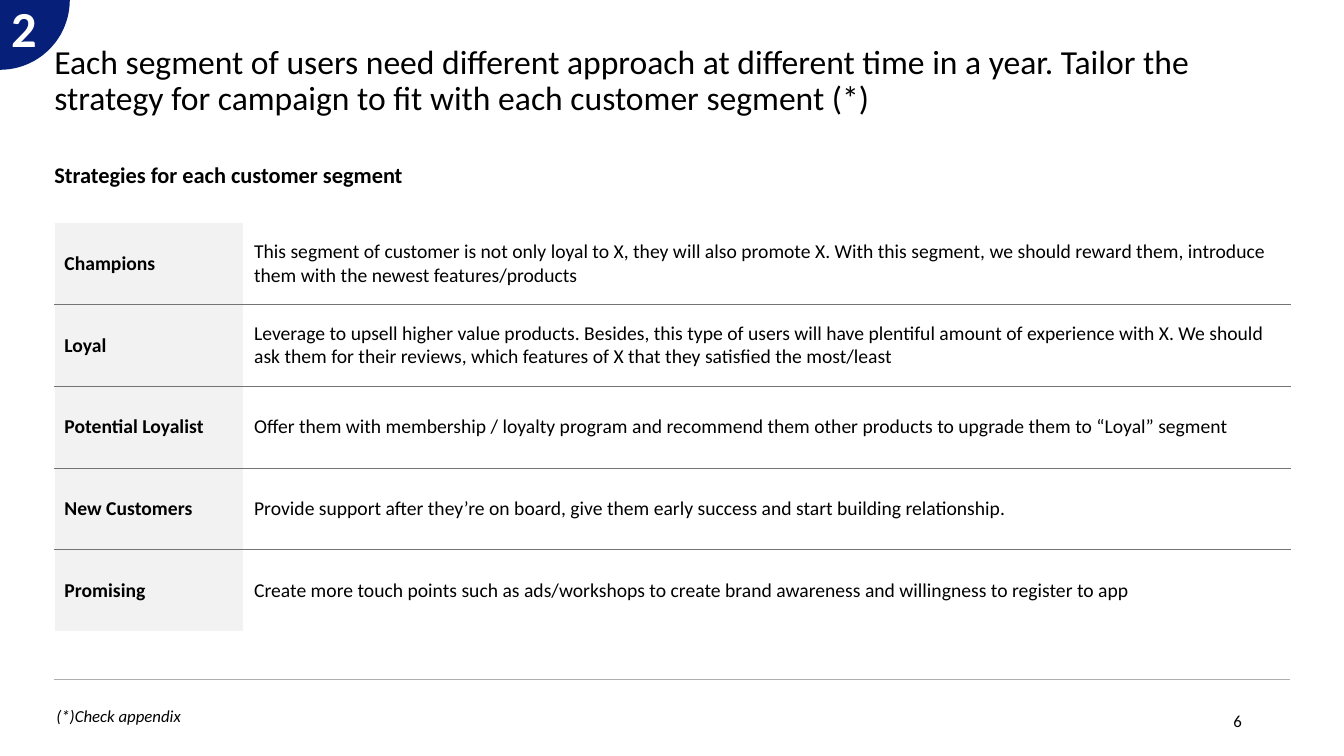
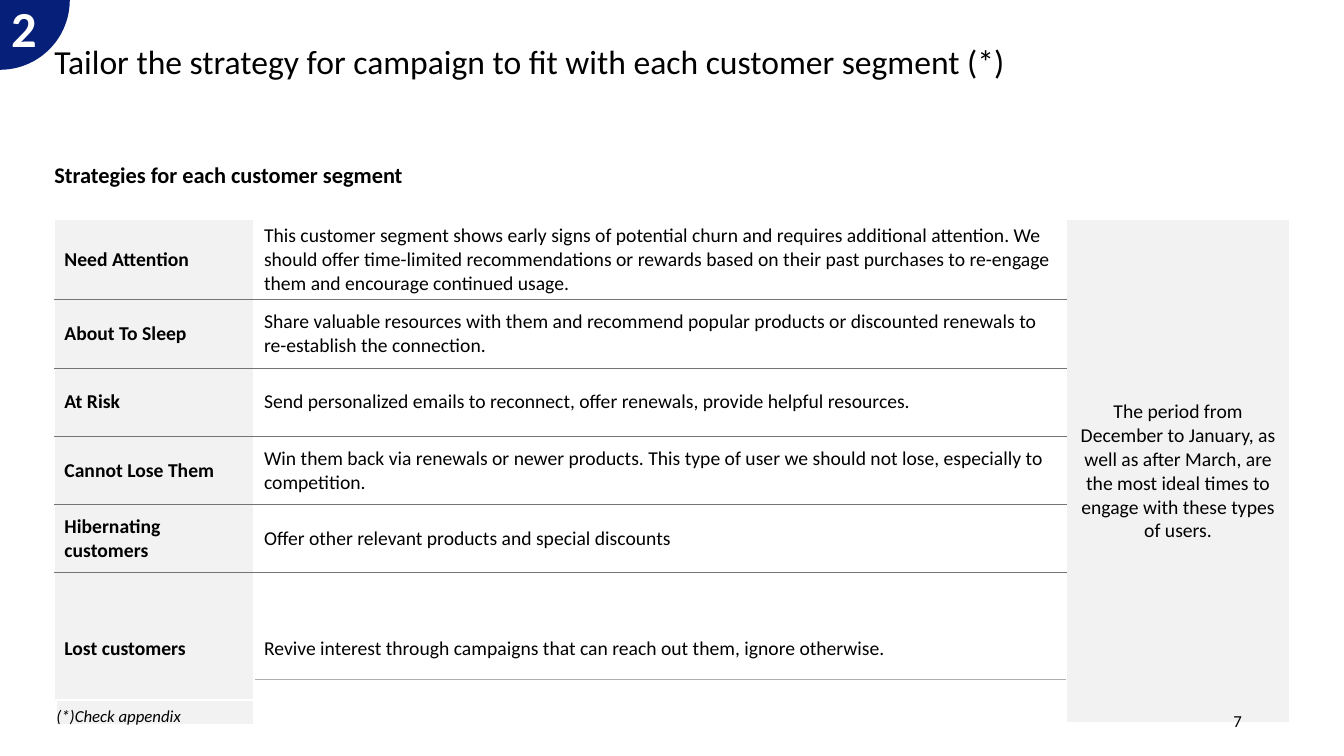
import math
import pptx
import pptx.util
import pptx.dml.color
import pptx.enum.shapes
import pptx.enum.text
import pptx.oxml
import pptx.oxml.ns
from pptx.util import Cm

RGBColor = pptx.dml.color.RGBColor
Anchor = pptx.enum.text.MSO_ANCHOR
Align = pptx.enum.text.PP_ALIGN

BLACK = RGBColor(0x00, 0x00, 0x00)
WHITE = RGBColor(0xFF, 0xFF, 0xFF)
NAVY = RGBColor(0x06, 0x1F, 0x79)
LIGHT_GREY = RGBColor(0xF2, 0xF2, 0xF2)
RULE_GREY = RGBColor(0xAE, 0xAE, 0xAE)
ROW_LINE_GREY = RGBColor(0x74, 0x74, 0x74)

FONT = "Calibri"
LEFT, WIDTH = 1.37, 31.14
BADGE_RADIUS = 1.76
ARC_STEPS = 24
FLUSH_INSETS = (0, 0.13, 0.25, 0.13)
EDGE = (WHITE, 1)
ROW_LINE = (ROW_LINE_GREY, 0.5)
SPAN_EDGE = (WHITE, 3)

SECTION = "2"
SUBTITLE = "Strategies for each customer segment"
FOOTNOTE = "(*)Check appendix"

SLIDES = [
    {
        "page": "6",
        "title": "Each segment of users need different approach at different time in a year. "
                 "Tailor the strategy for campaign to fit with each customer segment (*)",
        "top": 5.61,
        "row_height": 2.06,
        "columns": [4.78, 26.36],
        "rows": [
            ("Champions", "This segment of customer is not only loyal to X, they will also promote X. "
                          "With this segment, we should reward them, introduce them with the newest "
                          "features/products"),
            ("Loyal", "Leverage to upsell higher value products. Besides, this type of users will have "
                      "plentiful amount of experience with X. We should ask them for their reviews, "
                      "which features of X that they satisfied the most/least"),
            ("Potential Loyalist", "Offer them with membership / loyalty program and recommend them other "
                                   "products to upgrade them to “Loyal” segment"),
            ("New Customers", "Provide support after they’re on board, give them early success and start "
                              "building relationship."),
            ("Promising", "Create more touch points such as ads/workshops to create brand awareness and "
                          "willingness to register to app"),
        ],
        "timing": None,
    },
    {
        "page": "7",
        "title": "Tailor the strategy for campaign to fit with each customer segment (*)",
        "top": 5.52,
        "row_height": 1.72,
        "columns": [5.03, 20.47, 5.64],
        "rows": [
            ("Need Attention", "This customer segment shows early signs of potential churn and requires "
                               "additional attention. We should offer time-limited recommendations or "
                               "rewards based on their past purchases to re-engage them and encourage "
                               "continued usage."),
            ("About To Sleep", "Share valuable resources with them and recommend popular products or "
                               "discounted renewals to re-establish the connection."),
            ("At Risk", "Send personalized emails to reconnect, offer renewals, provide helpful resources."),
            ("Cannot Lose Them", "Win them back via renewals or newer products. This type of user we should "
                                 "not lose, especially to competition."),
            ("Hibernating customers", "Offer other relevant products and special discounts"),
            ("Lost customers", "Revive interest through campaigns that can reach out them, ignore otherwise."),
        ],
        "timing": "The period from December to January, as well as after March, are the most ideal times "
                  "to engage with these types of users.",
    },
]


def write(frame, text, size, bold=False, italic=False, color=BLACK, align=Align.LEFT):
    paragraph = frame.paragraphs[0]
    paragraph.alignment = align
    run = paragraph.add_run()
    run.text = text
    font = run.font
    font.name, font.size, font.bold, font.italic = FONT, pptx.util.Pt(size), bold, italic
    font.color.rgb = color
    return paragraph


def set_frame(shape, anchor, insets=None):
    frame = shape.text_frame
    frame.word_wrap = True
    frame.vertical_anchor = anchor
    if insets:
        (frame.margin_left, frame.margin_top,
         frame.margin_right, frame.margin_bottom) = [Cm(inset) for inset in insets]
    return frame


def add_text(slide, box, text, size, anchor=Anchor.MIDDLE, insets=None, **style):
    shape = slide.shapes.add_textbox(*[Cm(length) for length in box])
    return write(set_frame(shape, anchor, insets), text, size, **style)


def add_rule(slide):
    rule = slide.shapes.add_connector(pptx.enum.shapes.MSO_CONNECTOR.STRAIGHT,
                                      Cm(LEFT), Cm(17.12), Cm(LEFT + WIDTH), Cm(17.12))
    rule.line.color.rgb = RULE_GREY
    rule.line.width = pptx.util.Pt(0.75)
    properties = rule._element.spPr
    properties.append(properties.makeelement(pptx.oxml.ns.qn("a:effectLst"), {}))


def add_footnote(slide):
    box = slide.shapes.add_shape(pptx.enum.shapes.MSO_SHAPE.RECTANGLE,
                                 Cm(1.42), Cm(17.63), Cm(14.38), Cm(0.81))
    box.shadow.inherit = False
    box.fill.background()
    box.line.color.rgb = WHITE
    box.line.width = pptx.util.Pt(1.5)
    write(set_frame(box, Anchor.MIDDLE, FLUSH_INSETS), FOOTNOTE, 12, italic=True)


def add_badge(slide):
    radius = Cm(BADGE_RADIUS)
    angles = [math.pi / 2 * step / ARC_STEPS for step in range(ARC_STEPS + 1)]
    arc = [(round(radius * math.cos(angle)), round(radius * math.sin(angle))) for angle in angles]
    builder = slide.shapes.build_freeform(0, 0)
    builder.add_line_segments(arc, close=True)
    badge = builder.convert_to_shape()
    badge.shadow.inherit = False
    badge.fill.solid()
    badge.fill.fore_color.rgb = NAVY
    badge.line.fill.background()
    add_text(slide, (0.03, 0, 1.4, 1.4), SECTION, 36, bold=True, color=WHITE)


def set_borders(cell, top, bottom):
    properties = cell._tc.get_or_add_tcPr()
    sides = (("L", EDGE), ("R", EDGE), ("T", top), ("B", bottom))
    for position, (side, (color, width)) in enumerate(sides):
        border = pptx.oxml.parse_xml(
            f'<a:ln{side} {pptx.oxml.ns.nsdecls("a")} w="{pptx.util.Pt(width)}">'
            f'<a:solidFill><a:srgbClr val="{color}"/></a:solidFill></a:ln{side}>')
        properties.insert(position, border)


def fill_cell(cell, text, shaded, top, bottom, **style):
    cell.vertical_anchor = Anchor.MIDDLE
    if shaded:
        cell.fill.solid()
        cell.fill.fore_color.rgb = LIGHT_GREY
    else:
        cell.fill.background()
    set_borders(cell, top, bottom)
    write(cell.text_frame, text, 14, **style)


def add_strategy_table(slide, content):
    rows, columns = content["rows"], content["columns"]
    height = content["row_height"]
    last = len(rows) - 1
    frame = slide.shapes.add_table(len(rows), len(columns), Cm(LEFT), Cm(content["top"]),
                                   Cm(WIDTH), Cm(height * len(rows)))
    table = frame.table
    table.first_row = table.horz_banding = False
    for column, width in zip(table.columns, columns):
        column.width = Cm(width)
    for index, (segment, strategy) in enumerate(rows):
        table.rows[index].height = Cm(height)
        top = ROW_LINE if index else EDGE
        bottom = ROW_LINE if index < last else EDGE
        fill_cell(table.cell(index, 0), segment, True, top, bottom, bold=True)
        fill_cell(table.cell(index, 1), strategy, False, top, bottom)
    if content["timing"]:
        timing = table.cell(0, 2)
        timing.merge(table.cell(last, 2))
        fill_cell(timing, content["timing"], True, EDGE, SPAN_EDGE, align=Align.CENTER)


def add_strategy_slide(presentation, content):
    slide = presentation.slides.add_slide(presentation.slide_layouts[6])
    add_rule(slide)
    title = add_text(slide, (LEFT, 1.02, WIDTH, 1.73), content["title"], 24, Anchor.TOP, FLUSH_INSETS)
    title.line_spacing = 0.9
    add_strategy_table(slide, content)
    add_footnote(slide)
    add_badge(slide)
    add_text(slide, (23.93, 17.65, 7.62, 1.02), content["page"], 12, align=Align.RIGHT)
    add_text(slide, (LEFT, 3.94, 10.01, 1.12), SUBTITLE, 16, Anchor.TOP, FLUSH_INSETS, bold=True)


def main():
    presentation = pptx.Presentation()
    presentation.slide_width, presentation.slide_height = Cm(33.87), Cm(19.05)
    for content in SLIDES:
        add_strategy_slide(presentation, content)
    presentation.save("out.pptx")


if __name__ == "__main__":
    main()
